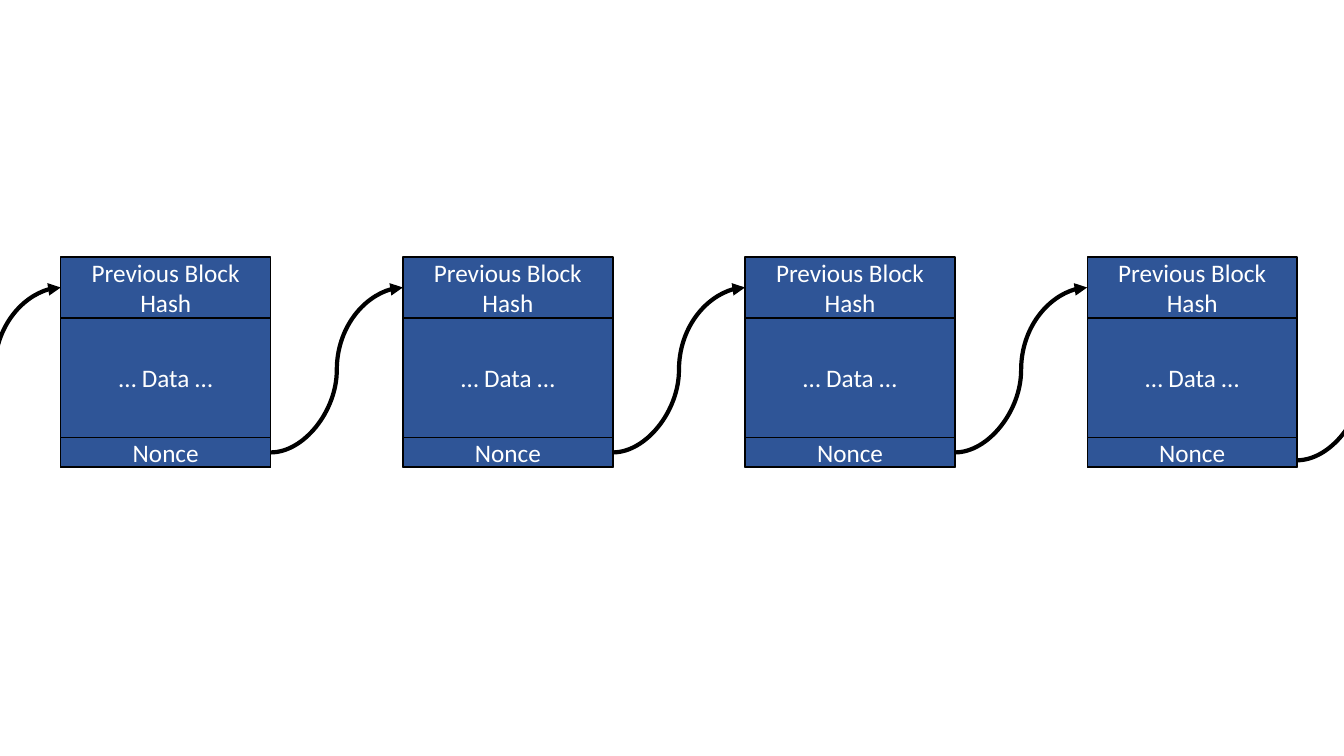
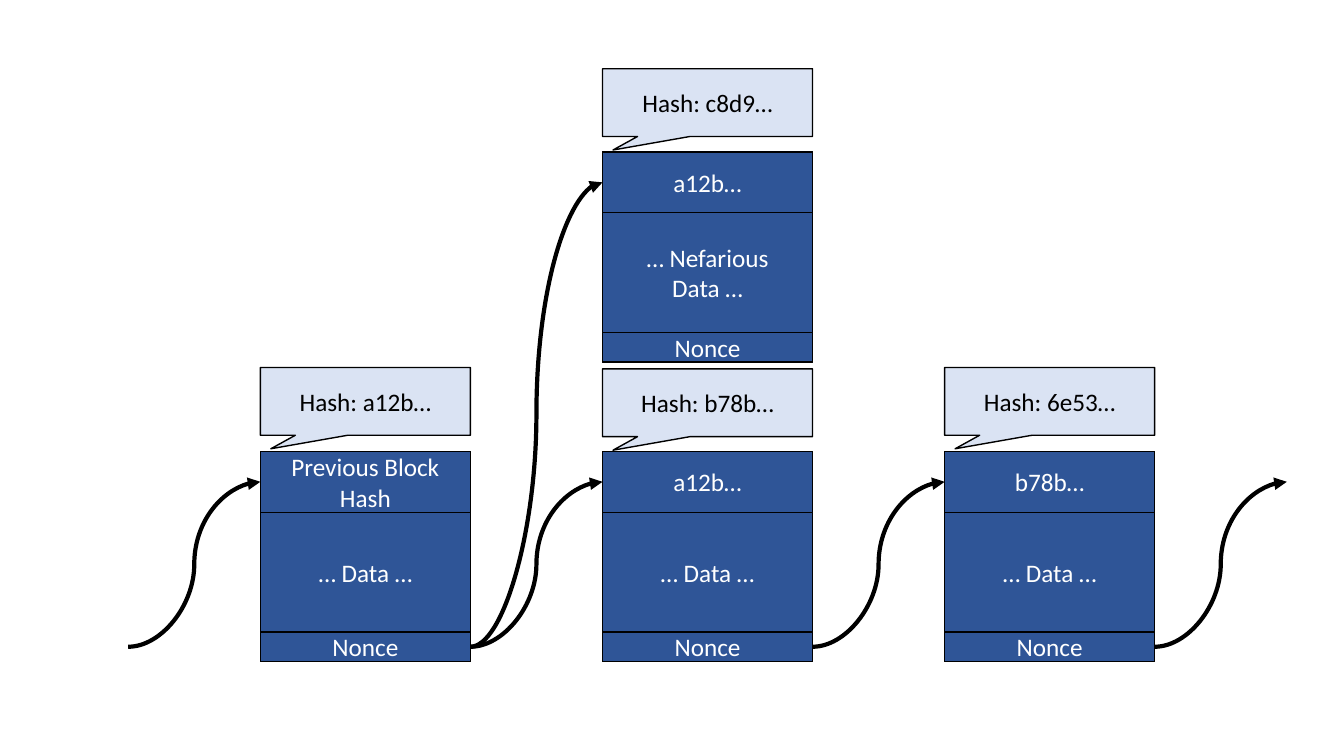
from itertools import pairwise

from lxml.etree import SubElement
from pptx import Presentation
from pptx.dml.color import RGBColor
from pptx.enum.shapes import MSO_CONNECTOR, MSO_SHAPE
from pptx.enum.text import MSO_ANCHOR, PP_ALIGN
from pptx.oxml.ns import qn
from pptx.util import Pt

BLUE = RGBColor(0x2F, 0x55, 0x97)
PALE = RGBColor(0xDA, 0xE3, 0xF3)
BLACK = RGBColor(0, 0, 0)
WHITE = RGBColor(0xFF, 0xFF, 0xFF)

SIDE, HEAD, NONCE = 150, 43.4, 21
GAP = 94.4
PITCH = SIDE + GAP
IN_Y, OUT_Y = HEAD / 2, SIDE - NONCE / 2
PREVIOUS, DATA = "Previous Block Hash", "… Data …"


class Deck:
    """Holds the style and the current slide of the block chain diagrams."""

    font = {"name": "Calibri", "size": Pt(18)}
    frame = {"word_wrap": True, "vertical_anchor": MSO_ANCHOR.MIDDLE}

    def __init__(self):
        self.prs = Presentation()
        self.prs.slide_width, self.prs.slide_height = Pt(960), Pt(540)

    def slide(self):
        self.s = self.prs.slides.add_slide(self.prs.slide_layouts[6])

    def box(self, shapes, x, y, w, h, text="", fill=BLUE, color=WHITE,
            kind=MSO_SHAPE.RECTANGLE):
        sp = shapes.add_shape(kind, Pt(x), Pt(y), Pt(w), Pt(h))
        sp.shadow.inherit = False
        sp.fill.solid()
        sp.fill.fore_color.rgb = fill
        sp.line.color.rgb = BLACK
        sp.line.width = Pt(1)
        tf = sp.text_frame
        tf.text = text
        for name, value in self.frame.items():
            setattr(tf, name, value)
        for p in tf.paragraphs:
            p.alignment = PP_ALIGN.CENTER
            p.font.color.rgb = color
            for r in p.runs:
                r.font.color.rgb = color
                for name, value in self.font.items():
                    setattr(r.font, name, value)
        return sp

    def block(self, x, y, head=PREVIOUS, data=DATA):
        shapes = self.s.shapes.add_group_shape().shapes
        self.box(shapes, x, y, SIDE, SIDE)
        top = self.box(shapes, x, y, SIDE, HEAD, head)
        end = self.box(shapes, x, y + SIDE - NONCE, SIDE, NONCE, "Nonce")
        self.box(shapes, x, y + HEAD, SIDE, SIDE - HEAD - NONCE, data)
        return top, end

    def callout(self, x, y, text):
        sp = self.box(self.s.shapes, x, y, SIDE, 48.4, text, PALE, BLACK,
                      MSO_SHAPE.RECTANGULAR_CALLOUT)
        sp.adjustments[0], sp.adjustments[1] = -0.45, 0.7

    def arrow(self, x1, y1, x2, y2, source=None, target=None):
        c = self.s.shapes.add_connector(
            MSO_CONNECTOR.CURVE, Pt(x1), Pt(y1), Pt(x2), Pt(y2))
        if source is not None:
            c.begin_connect(source, 3)
        if target is not None:
            c.end_connect(target, 1)
        c.line.color.rgb = BLACK
        c.line.width = Pt(3)
        SubElement(c.line._get_or_add_ln(), qn("a:tailEnd"), type="triangle")
        SubElement(c._element.spPr, qn("a:effectLst"))

    def link(self, x, y, source=None, target=None, rise=0):
        self.arrow(x - GAP, y + OUT_Y, x, y + IN_Y - rise, source, target)

    def chain(self, x, y, heads, last_drop=0):
        xs = [x + i * PITCH for i in range(len(heads) + 1)]
        blocks = [self.block(bx, y, head) for bx, head in zip(xs, heads)]
        self.link(x, y, target=blocks[0][0])
        for bx, (left, right) in zip(xs[1:], pairwise(blocks)):
            self.link(bx, y, left[1], right[0])
        end = None if last_drop else blocks[-1][1]
        self.link(xs[-1], y + last_drop, source=end)
        return blocks


def main():
    deck = Deck()

    deck.slide()
    deck.chain(43.4, 183.7, [PREVIOUS] * 4, last_drop=5.6)

    deck.slide()
    x, y, fork_y = 186, 322.5, 108.6
    blocks = deck.chain(x, y, [PREVIOUS, "a12b…", "b78b…"])
    fork = deck.block(x + PITCH, fork_y, "a12b…", "… Nefarious\nData …")
    deck.link(x + PITCH, y, blocks[0][1], fork[0], rise=y - fork_y)
    for col, top, code in [(0, y - 60, "a12b"), (1, fork_y - 59.5, "c8d9"),
                           (1, y - 59, "b78b"), (2, y - 60, "6e53")]:
        deck.callout(x + col * PITCH, top, f"Hash: {code}…")

    deck.prs.save("out.pptx")


if __name__ == "__main__":
    main()
